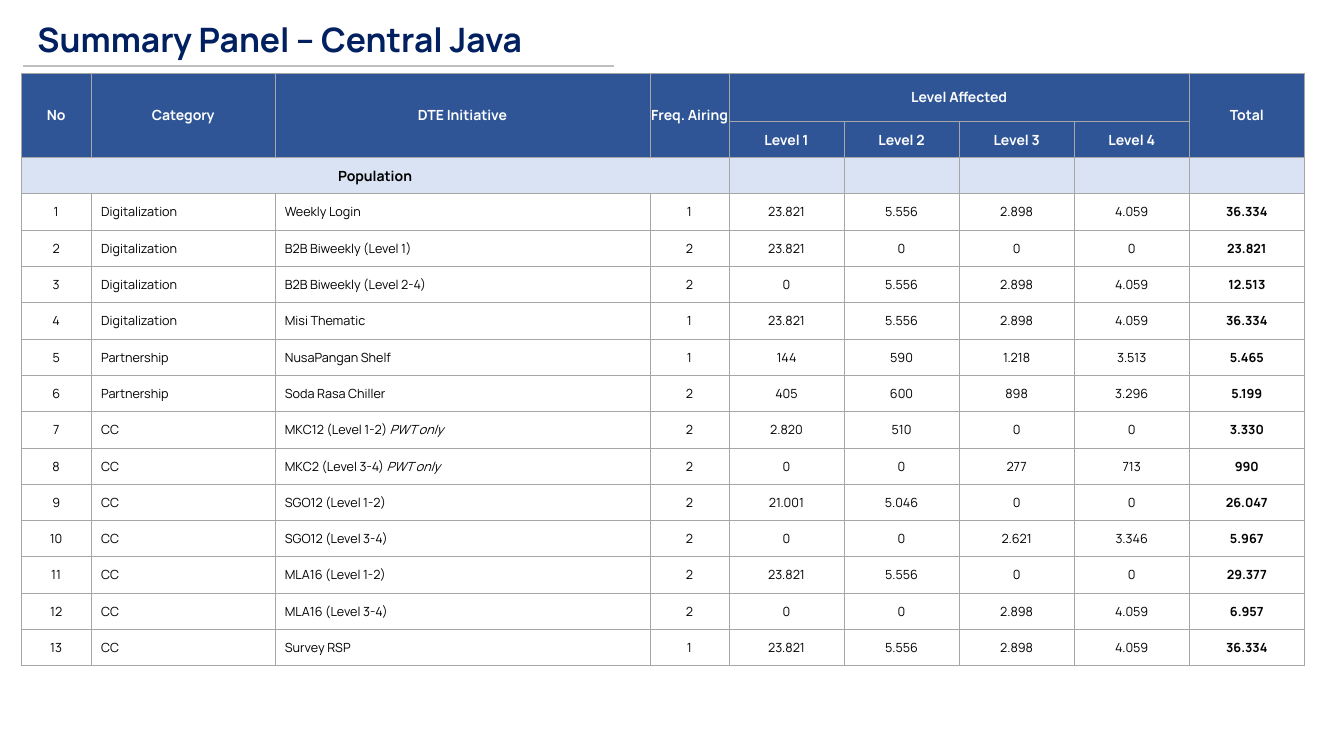
from dataclasses import dataclass

from lxml import etree
from pptx import Presentation
from pptx.dml.color import RGBColor
from pptx.enum.shapes import MSO_CONNECTOR
from pptx.enum.text import MSO_ANCHOR, PP_ALIGN
from pptx.oxml.ns import qn
from pptx.util import Cm, Pt

CENTER, LEFT = PP_ALIGN.CENTER, PP_ALIGN.LEFT
MIDDLE = MSO_ANCHOR.MIDDLE
STRAIGHT = MSO_CONNECTOR.STRAIGHT


@dataclass(frozen=True)
class Theme:
    font: str = "Manrope"
    navy: str = "002060"
    header: str = "2F5597"
    band: str = "DAE3F3"
    border: str = "A6A6A6"
    rule: str = "BFBFBF"
    white: str = "FFFFFF"
    black: str = "000000"
    title_size: float = 24
    header_size: float = 10
    body_size: float = 9
    rule_width: float = 1.5
    border_width: float = 0.25


THEME = Theme()

# Table content
HEADER_ROWS = [
    ["No", "Category", "DTE Initiative", "Freq. Airing", "Level Affected", "", "", "", "Total"],
    ["", "", "", "", "Level 1", "Level 2", "Level 3", "Level 4", ""],
]
BAND_ROW = ["Population"] + [""] * 8
ITALIC_NOTE = "PWT only"
INITIATIVES = [
    ("Digitalization", "Weekly Login", "1", "23.821", "5.556", "2.898", "4.059", "36.334"),
    ("Digitalization", "B2B Biweekly (Level 1)", "2", "23.821", "0", "0", "0", "23.821"),
    ("Digitalization", "B2B Biweekly (Level 2-4)", "2", "0", "5.556", "2.898", "4.059", "12.513"),
    ("Digitalization", "Misi Thematic", "1", "23.821", "5.556", "2.898", "4.059", "36.334"),
    ("Partnership", "NusaPangan Shelf", "1", "144", "590", "1.218", "3.513", "5.465"),
    ("Partnership", "Soda Rasa Chiller", "2", "405", "600", "898", "3.296", "5.199"),
    ("CC", "MKC12 (Level 1-2) PWT only", "2", "2.820", "510", "0", "0", "3.330"),
    ("CC", "MKC2 (Level 3-4) PWT only", "2", "0", "0", "277", "713", "990"),
    ("CC", "SGO12 (Level 1-2)", "2", "21.001", "5.046", "0", "0", "26.047"),
    ("CC", "SGO12 (Level 3-4)", "2", "0", "0", "2.621", "3.346", "5.967"),
    ("CC", "MLA16 (Level 1-2)", "2", "23.821", "5.556", "0", "0", "29.377"),
    ("CC", "MLA16 (Level 3-4)", "2", "0", "0", "2.898", "4.059", "6.957"),
    ("CC", "Survey RSP", "1", "23.821", "5.556", "2.898", "4.059", "36.334"),
]
COLUMN_WIDTHS = [1.77, 4.63, 9.45, 1.99] + [2.9] * 5
HEADER_HEIGHTS = [1.22, 0.9]
TEXT_COLUMNS = (1, 2)
TOTAL_COLUMN = 8
# Merged areas: first row, first column, last row, last column
MERGES = [(0, column, 1, column) for column in (0, 1, 2, 3, TOTAL_COLUMN)]
MERGES += [(0, 4, 0, 7), (2, 0, 2, 3)]


def color(value):
    return RGBColor.from_string(value)


def format_run(run, size, value, bold=False, italic=False):
    font = run.font
    font.name, font.size = THEME.font, Pt(size)
    font.bold, font.italic = bold, italic
    font.color.rgb = color(value)


def add_title(slide, left, top, width, height):
    """Title with the thin rule under its left half."""
    title = slide.shapes.title
    title.left, title.top, title.width, title.height = Cm(left), Cm(top), Cm(width), Cm(height)
    frame = title.text_frame
    frame.text = "Summary Panel – Central Java"
    frame.word_wrap = True
    frame.vertical_anchor = MIDDLE
    paragraph = frame.paragraphs[0]
    paragraph.alignment = LEFT
    paragraph.line_spacing = 0.9
    format_run(paragraph.runs[0], THEME.title_size, THEME.navy, bold=True)

    rule_left, rule_top = Cm(left - 0.1), Cm(top + height - 0.15)
    rule = slide.shapes.add_connector(
        STRAIGHT, rule_left, rule_top, rule_left + Cm(14.88), rule_top)
    rule.line.color.rgb = color(THEME.rule)
    rule.line.width = Pt(THEME.rule_width)
    etree.SubElement(rule._element.spPr, qn("a:effectLst"))


def add_borders(cell):
    properties = cell._tc.get_or_add_tcPr()
    for side in ("a:lnL", "a:lnR", "a:lnT", "a:lnB"):
        line = etree.SubElement(properties, qn(side), w=str(Pt(THEME.border_width)))
        fill = etree.SubElement(line, qn("a:solidFill"))
        etree.SubElement(fill, qn("a:srgbClr"), val=THEME.border)


def fill_cell(cell, text, row, column):
    """Write and format one cell by the part of the table it stands in."""
    is_heading = row < 3
    is_text = column in TEXT_COLUMNS and not is_heading
    size = THEME.header_size if is_heading else THEME.body_size
    text_color = THEME.white if row < 2 else THEME.black

    add_borders(cell)
    if is_heading:
        cell.fill.solid()
        cell.fill.fore_color.rgb = color(THEME.header if row < 2 else THEME.band)
    else:
        cell.fill.background()
    cell.margin_left = Cm(0.25 if is_text else 0.02)
    cell.margin_right = cell.margin_top = Cm(0.02)
    cell.margin_bottom = 0
    cell.vertical_anchor = MIDDLE

    paragraph = cell.text_frame.paragraphs[0]
    paragraph.alignment = LEFT if is_text else CENTER
    name, note, _ = text.partition(ITALIC_NOTE)
    for part in filter(None, (name, note)):
        run = paragraph.add_run()
        run.text = part
        bold = is_heading or column == TOTAL_COLUMN
        format_run(run, size, text_color, bold, italic=part == ITALIC_NOTE)
    if not text:
        # Keeps empty cells from stretching their row
        etree.SubElement(paragraph._p, qn("a:endParaRPr"), sz=str(int(size * 100)))


def add_summary_table(slide, left, top, width, height):
    """Initiatives by category, with the levels affected and their total."""
    rows = HEADER_ROWS + [BAND_ROW]
    rows += [[str(number), *values] for number, values in enumerate(INITIATIVES, 1)]
    table = slide.shapes.add_table(
        len(rows), len(COLUMN_WIDTHS), Cm(left), Cm(top), Cm(width), Cm(height)).table
    table.first_row = table.horz_banding = False

    # Column widths and row heights
    for column, share in zip(table.columns, COLUMN_WIDTHS):
        column.width = Cm(width * share / sum(COLUMN_WIDTHS))
    body_count = len(rows) - len(HEADER_HEIGHTS)
    body_height = (height - sum(HEADER_HEIGHTS)) / body_count
    for row, row_height in zip(table.rows, HEADER_HEIGHTS + [body_height] * body_count):
        row.height = Cm(row_height)

    # Cells, then merged headings
    for row, values in enumerate(rows):
        for column, text in enumerate(values):
            fill_cell(table.cell(row, column), text, row, column)
    for first_row, first_column, last_row, last_column in MERGES:
        table.cell(first_row, first_column).merge(table.cell(last_row, last_column))


def main():
    presentation = Presentation()
    presentation.slide_width, presentation.slide_height = Cm(33.87), Cm(19.05)
    title_only = presentation.slide_layouts[5]
    slide = presentation.slides.add_slide(title_only)
    add_title(slide, 0.69, 0.3, 29.72, 1.52)
    add_summary_table(slide, 0.53, 1.84, 32.34, 14.94)
    presentation.save("out.pptx")


if __name__ == "__main__":
    main()
